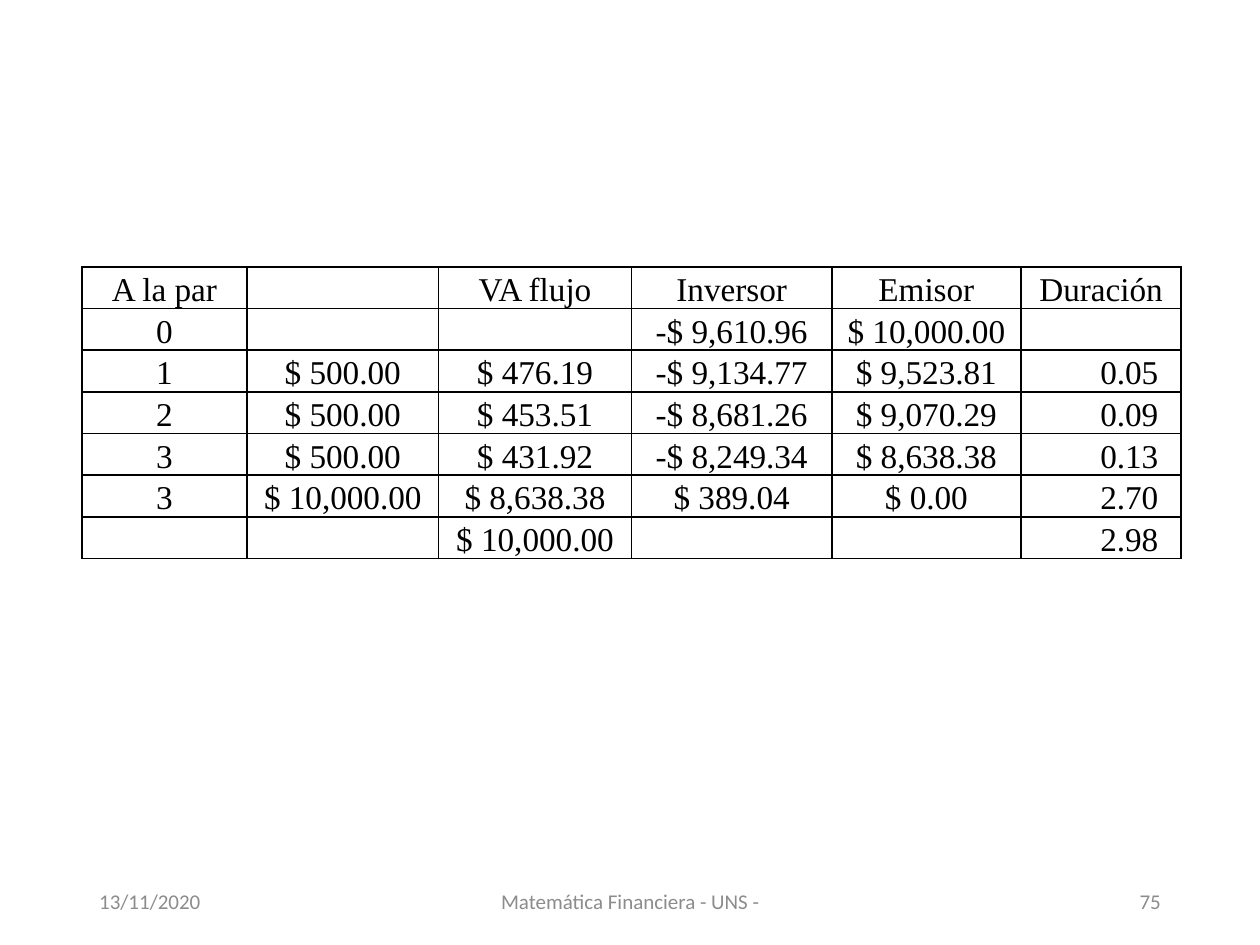
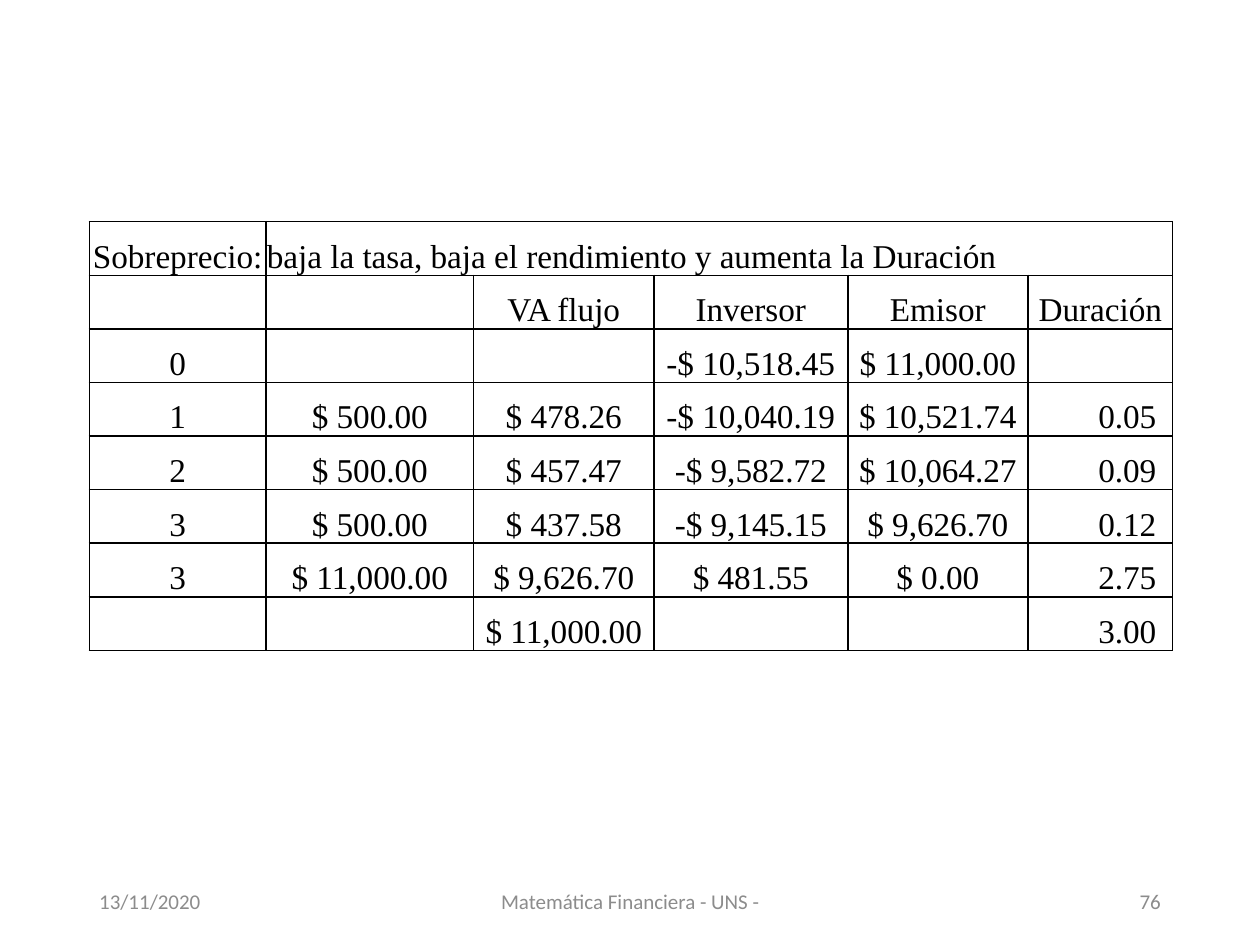
from dataclasses import dataclass

from lxml import etree
from pptx import Presentation
from pptx.dml.color import RGBColor
from pptx.enum.text import MSO_ANCHOR, PP_ALIGN
from pptx.oxml.ns import qn
from pptx.util import Cm, Pt

LEFT, CENTER, RIGHT = PP_ALIGN.LEFT, PP_ALIGN.CENTER, PP_ALIGN.RIGHT
MIDDLE, BOTTOM = MSO_ANCHOR.MIDDLE, MSO_ANCHOR.BOTTOM


@dataclass(frozen=True)
class Theme:
    ink: str = "000000"
    grey: str = "8C8C8C"
    body_font: str = "Times New Roman"
    footer_font: str = "Calibri"
    body_size: int = 19
    footer_size: int = 12
    border: int = 1


THEME = Theme()
BODY = {"name": THEME.body_font, "size": Pt(THEME.body_size)}
FOOTER = {"name": THEME.footer_font, "size": Pt(THEME.footer_size)}

DATE = "13/11/2020"
COURSE = "Matemática Financiera - UNS -"
FIRST_PAGE = 75
HEADINGS = ["VA flujo", "Inversor", "Emisor", "Duración"]

PAR = {
    "left": 1.65, "top": 5.38, "row_height": 0.84, "duration_inset": 0.46,
    "widths": [3.33, 3.86, 3.89, 4.04, 3.81, 3.23],
    "rows": [
        ["A la par", "", *HEADINGS],
        ["0", "", "", "-$ 9,610.96", "$ 10,000.00", ""],
        ["1", "$ 500.00", "$ 476.19", "-$ 9,134.77", "$ 9,523.81", "0.05"],
        ["2", "$ 500.00", "$ 453.51", "-$ 8,681.26", "$ 9,070.29", "0.09"],
        ["3", "$ 500.00", "$ 431.92", "-$ 8,249.34", "$ 8,638.38", "0.13"],
        ["3", "$ 10,000.00", "$ 8,638.38", "$ 389.04", "$ 0.00", "2.70"],
        ["", "", "$ 10,000.00", "", "", "2.98"],
    ],
}

PREMIUM = {
    "left": 1.8, "top": 4.47, "row_height": 1.08, "duration_inset": 0.33,
    "widths": [3.56, 4.19, 3.63, 3.91, 3.63, 2.92],
    "rows": [
        ["Sobreprecio:", "baja la tasa, baja el rendimiento y aumenta la Duración"],
        ["", "", *HEADINGS],
        ["0", "", "", "-$ 10,518.45", "$ 11,000.00", ""],
        ["1", "$ 500.00", "$ 478.26", "-$ 10,040.19", "$ 10,521.74", "0.05"],
        ["2", "$ 500.00", "$ 457.47", "-$ 9,582.72", "$ 10,064.27", "0.09"],
        ["3", "$ 500.00", "$ 437.58", "-$ 9,145.15", "$ 9,626.70", "0.12"],
        ["3", "$ 11,000.00", "$ 9,626.70", "$ 481.55", "$ 0.00", "2.75"],
        ["", "", "$ 11,000.00", "", "", "3.00"],
    ],
}


def set_attrs(obj, values):
    for name, value in values.items():
        setattr(obj, name, value)


def write(tf, text, font, color, align):
    p = tf.paragraphs[0]
    p.alignment = align
    r = p.add_run()
    r.text = text
    set_attrs(r.font, font)
    r.font.color.rgb = RGBColor.from_string(color)


def add_footer(slide, page):
    parts = [
        (1.75, 5.72, DATE, LEFT),
        (8.41, 8.59, COURSE, CENTER),
        (17.93, 5.72, str(page), RIGHT),
    ]
    for left, width, text, align in parts:
        sp = slide.shapes.add_textbox(Cm(left), Cm(17.65), Cm(width), Cm(1.02))
        set_attrs(sp.text_frame, {"word_wrap": True, "vertical_anchor": MIDDLE})
        write(sp.text_frame, text, FOOTER, THEME.grey, align)


def add_borders(cell):
    tc_pr = cell._tc.get_or_add_tcPr()
    for side in ("lnL", "lnR", "lnT", "lnB"):
        ln = etree.SubElement(tc_pr, qn(f"a:{side}"), w=str(Pt(THEME.border)))
        fill = etree.SubElement(ln, qn("a:solidFill"))
        etree.SubElement(fill, qn("a:srgbClr"), val=THEME.ink)


def format_cell(cell, right_inset):
    set_attrs(cell, {
        "margin_left": Cm(0.02), "margin_right": Cm(right_inset),
        "margin_top": Cm(0.02), "margin_bottom": 0,
        "vertical_anchor": BOTTOM,
    })
    add_borders(cell)
    cell.fill.background()


def add_flow_table(slide, flow):
    rows, widths = flow["rows"], flow["widths"]
    last = len(widths) - 1
    frame = slide.shapes.add_table(
        len(rows), len(widths), Cm(flow["left"]), Cm(flow["top"]),
        Cm(sum(widths)), Cm(flow["row_height"] * len(rows)))
    table = frame.table
    set_attrs(table, {"first_row": False, "horz_banding": False})
    for column, width in zip(table.columns, widths):
        column.width = Cm(width)
    for i, values in enumerate(rows):
        table.rows[i].height = Cm(flow["row_height"])
        spans = len(values) < len(widths)
        for j in range(len(widths)):
            text = values[j] if j < len(values) else ""
            is_number = j == last and text not in HEADINGS
            cell = table.cell(i, j)
            format_cell(cell, flow["duration_inset"] if is_number else 0.02)
            if text:
                merged = spans and j == len(values) - 1
                align = RIGHT if is_number else LEFT if merged else CENTER
                write(cell.text_frame, text, BODY, THEME.ink, align)
        if spans:
            table.cell(i, len(values) - 1).merge(table.cell(i, last))


def main():
    prs = Presentation()
    set_attrs(prs, {"slide_width": Cm(25.4), "slide_height": Cm(19.05)})
    blank = prs.slide_layouts[6]
    for page, flow in enumerate((PAR, PREMIUM), FIRST_PAGE):
        slide = prs.slides.add_slide(blank)
        add_footer(slide, page)
        add_flow_table(slide, flow)
    prs.save("out.pptx")


if __name__ == "__main__":
    main()
